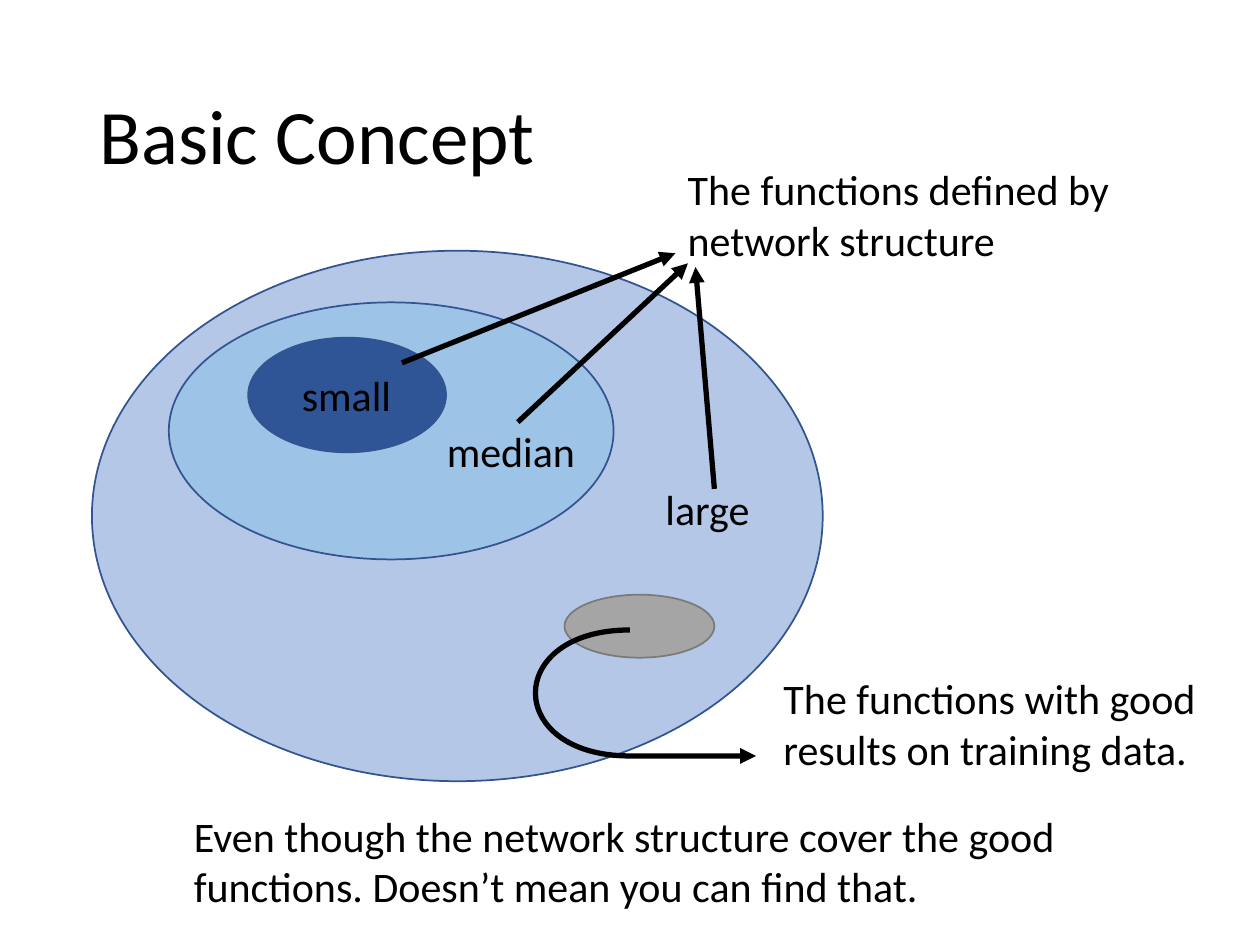
from lxml import etree
from pptx import Presentation, util as u
from pptx.dml.color import RGBColor
from pptx.enum import shapes, text
from pptx.oxml.ns import qn

WIDE, HIGH = 10, 7.5
BLUE, BLACK = "325491", "000000"
SETS = [
    (0.73, 1.99, 5.8, 4.21, "B4C7E7", BLUE),
    (1.34, 2.4, 3.53, 2.04, "9DC3E6", BLUE),
    (4.48, 4.72, 1.19, 0.5, "A5A5A5", "7A7A7A"),
    (1.97, 2.68, 1.57, 0.91, "2F5597", BLUE),
]
NAMES = [
    ("small", 2.15, 2.88, 1.2),
    ("median", 3.3, 3.33, 1.51),
    ("large", 4.86, 3.79, 1.51),
]
NOTES = [
    ("The functions defined by network structure", 5.36, 1.25, 3.57),
    ("The functions with good results on training data.", 6.12, 5.29, 4.03),
    ("Even though the network structure cover the good functions. "
     "Doesn’t mean you can find that.", 1.44, 6.38, 7.6),
]
ARROWS = [
    (3.19, 2.88, 5.36, 2.01),
    (4.11, 3.35, 5.46, 2.09),
    (5.67, 3.88, 5.52, 2.12),
]
CURVE = [(4.6, 5.14), (4.45, 5.37), (4.29, 5.59), (4.55, 5.7),
         (4.8, 5.81), (5.46, 5.8), (6.11, 5.79)]


def color(code):
    return RGBColor.from_string(code)


def inches(*sizes):
    return [u.Inches(size) for size in sizes]


def label(slide, words, *box, size=24, align=text.PP_ALIGN.LEFT,
          anchor=text.MSO_ANCHOR.TOP, space=1.0):
    frame = slide.shapes.add_textbox(*inches(*box)).text_frame
    frame.word_wrap = True
    frame.vertical_anchor = anchor
    para = frame.paragraphs[0]
    para.alignment = align
    para.line_spacing = space
    run = para.add_run()
    run.text = words
    run.font.size = u.Pt(size)
    run.font.name = "Calibri"
    run.font.color.rgb = color(BLACK)


def oval(slide, left, top, width, height, fill, edge):
    shape = slide.shapes.add_shape(shapes.MSO_SHAPE.OVAL,
                                   *inches(left, top, width, height))
    shape.shadow.inherit = False
    shape.fill.solid()
    shape.fill.fore_color.rgb = color(fill)
    shape.line.color.rgb = color(edge)
    shape.line.width = u.Pt(1)


def arrow(item):
    item.line.color.rgb = color(BLACK)
    item.line.width = u.Pt(3)
    props = item._element.spPr
    etree.SubElement(props.find(qn("a:ln")), qn("a:tailEnd"), type="triangle")
    if props.find(qn("a:effectLst")) is None:
        etree.SubElement(props, qn("a:effectLst"))


def bend(slide, points):
    """Draw a chain of cubic curves through every third point."""
    pen = slide.shapes.build_freeform(*points[0], scale=u.Inches(1))
    pen.add_line_segments(points[1:], close=False)
    shape = pen.convert_to_shape()
    shape.fill.background()
    steps = list(shape._element.iter(qn("a:lnTo")))
    for first, *rest in zip(steps[::3], steps[1::3], steps[2::3]):
        first.tag = qn("a:cubicBezTo")
        for step in rest:
            first.append(step[0])
            step.getparent().remove(step)
    arrow(shape)


def main():
    deck = Presentation()
    deck.slide_width, deck.slide_height = inches(WIDE, HIGH)
    slide = deck.slides.add_slide(deck.slide_layouts[6])
    for item in SETS:
        oval(slide, *item)
    label(slide, "Basic Concept", 0.69, 0.38, 8.62, 1.45, size=44,
          anchor=text.MSO_ANCHOR.MIDDLE, space=0.9)
    for name in NAMES:
        label(slide, *name, 0.5, align=text.PP_ALIGN.CENTER)
    for note in NOTES:
        label(slide, *note, 0.91)
    bend(slide, CURVE)
    for ends in ARROWS:
        arrow(slide.shapes.add_connector(shapes.MSO_CONNECTOR.STRAIGHT,
                                         *inches(*ends)))
    deck.save("out.pptx")


if __name__ == "__main__":
    main()
